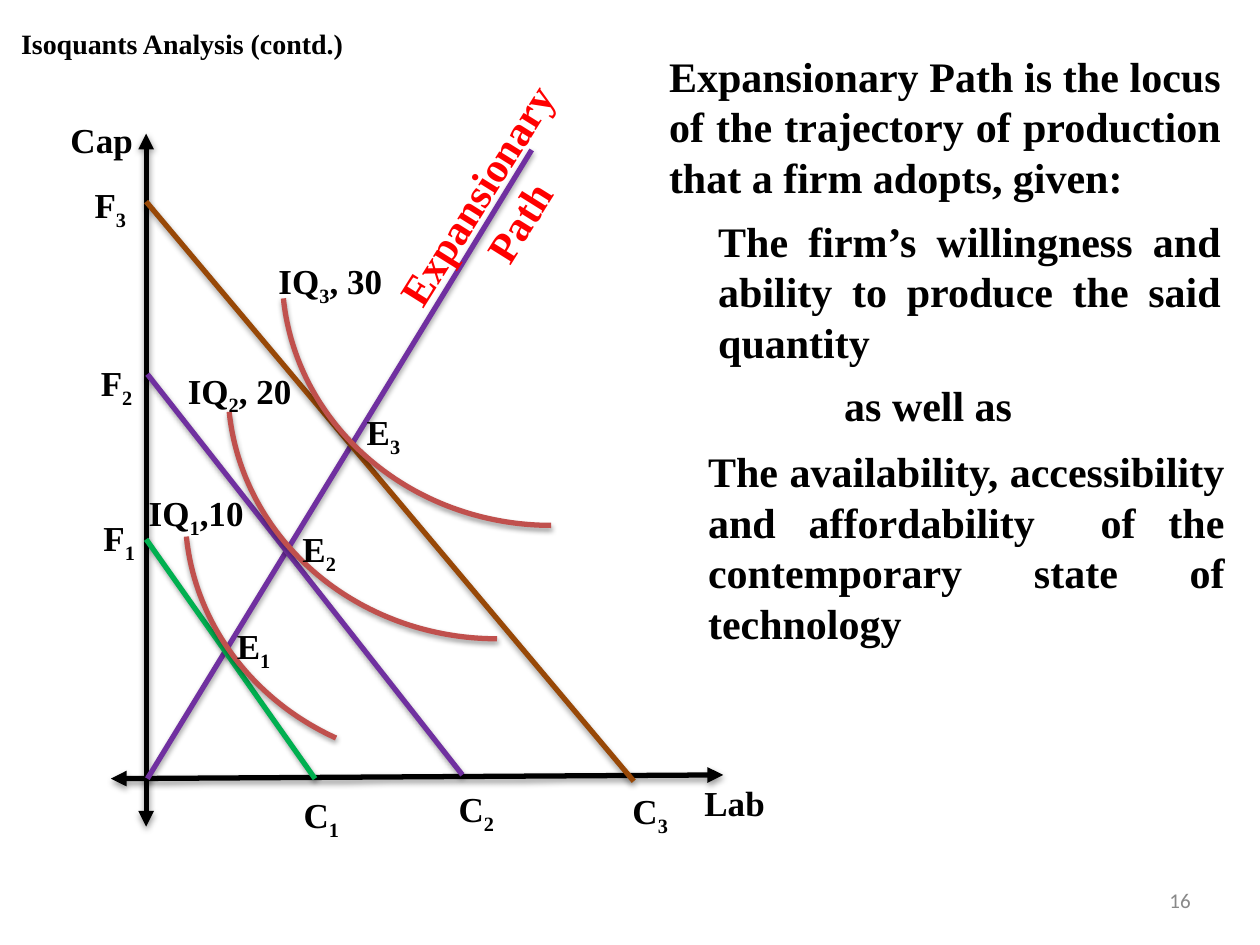
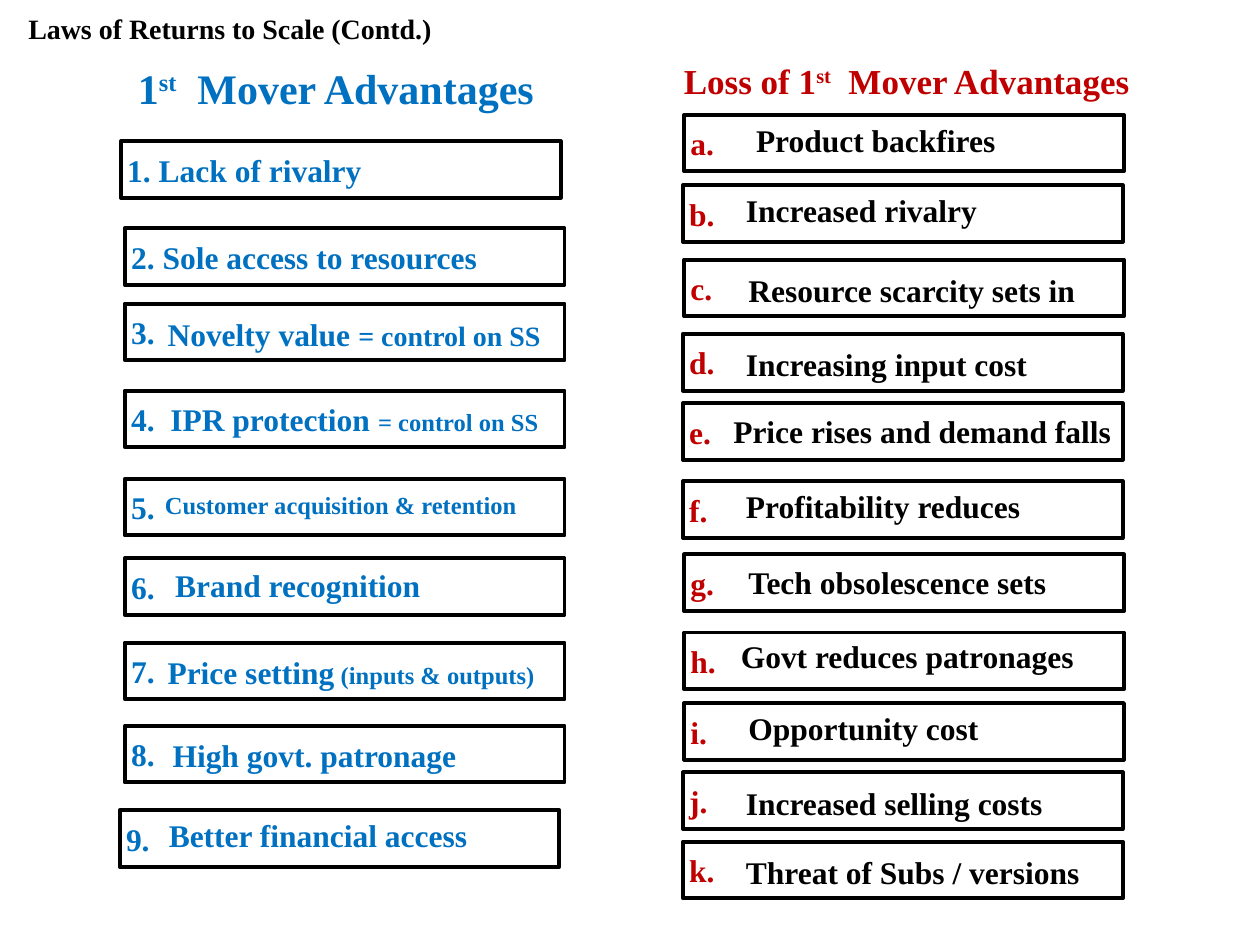
from dataclasses import dataclass

from lxml import etree
from pptx import Presentation
from pptx import util as u
from pptx.dml.color import RGBColor
from pptx.enum import shapes, text
from pptx.oxml.ns import qn


@dataclass(frozen=True)
class Theme:
    black: str = "000000"
    grey: str = "898989"
    red: str = "FF0000"
    dark_red: str = "C00000"
    blue: str = "0070C0"
    purple: str = "7030A0"
    green: str = "00B050"
    brown: str = "984807"
    brick: str = "C0504D"
    serif: str = "Times New Roman"
    sans: str = "Calibri"
    body: int = 24
    label: int = 20
    item: int = 18
    title: int = 16
    note: int = 14
    footer: int = 12
    stroke: float = 3
    frame: float = 2.25


T = Theme()
COLS, ROWS = 100, 75
LEFT, CENTER, RIGHT, JUSTIFY = (text.PP_ALIGN.LEFT, text.PP_ALIGN.CENTER,
                                text.PP_ALIGN.RIGHT, text.PP_ALIGN.JUSTIFY)


@dataclass
class Run:
    text: str
    size: int = 0
    base: int = 0


def sub(stem, index, rest=""):
    """Runs for a stem with a subscript index and an optional tail."""
    return [Run(stem), Run(str(index), base=-25)] + ([Run(rest)] if rest else [])


class Deck:
    """Draws on the current slide; lengths are columns and rows of the grid."""

    def __init__(self, prs):
        self.prs = prs
        self.s = None

    def new_slide(self):
        self.s = self.prs.slides.add_slide(self.prs.slide_layouts[6])

    def x(self, cols):
        return round(self.prs.slide_width * cols / COLS)

    def y(self, rows):
        return round(self.prs.slide_height * rows / ROWS)

    def rect(self, at):
        left, top, width, height = at
        return self.x(left), self.y(top), self.x(width), self.y(height)

    def add_runs(self, sp, runs, size, color, align=LEFT, font=T.serif, bold=True, middle=False):
        tf = sp.text_frame
        tf.word_wrap = True
        tf.margin_left = tf.margin_right = tf.margin_top = tf.margin_bottom = u.Inches(0.05)
        tf.vertical_anchor = text.MSO_ANCHOR.MIDDLE if middle else text.MSO_ANCHOR.TOP
        p = tf.paragraphs[0]
        p.alignment = align
        for run in [Run(runs)] if isinstance(runs, str) else runs:
            r = p.add_run()
            r.text = run.text
            r.font.name, r.font.bold = font, bold
            r.font.size = u.Pt(run.size or size)
            r.font.color.rgb = RGBColor.from_string(color)
            if run.base:
                r._r.get_or_add_rPr().set("baseline", str(run.base * 1000))

    def text(self, at, runs, size=T.label, color=T.black, rotation=0, **style):
        sp = self.s.shapes.add_textbox(*self.rect(at))
        sp.rotation = rotation
        self.add_runs(sp, runs, size, color, **style)

    def title(self, at, runs, size=T.title, color=T.black):
        self.text(at, runs, size, color, align=CENTER, middle=True)

    def stroke(self, sp, color, width):
        sp.line.color.rgb = RGBColor.from_string(color)
        sp.line.width = u.Pt(width)

    def shadow(self, sp):
        effects = etree.SubElement(sp._element.spPr, qn("a:effectLst"))
        outer = etree.SubElement(effects, qn("a:outerShdw"), blurRad="40000", dist="20000",
                                 dir="5400000", rotWithShape="0")
        black = etree.SubElement(outer, qn("a:srgbClr"), val=T.black)
        etree.SubElement(black, qn("a:alpha"), val="38000")

    def line(self, start, end, color, arrows=False):
        sp = self.s.shapes.add_connector(shapes.MSO_CONNECTOR.STRAIGHT, self.x(start[0]),
                                         self.y(start[1]), self.x(end[0]), self.y(end[1]))
        self.stroke(sp, color, T.stroke)
        if arrows:
            ln = sp._element.spPr.find(qn("a:ln"))
            for tip in ("a:headEnd", "a:tailEnd"):
                etree.SubElement(ln, qn(tip), type="triangle")
        self.shadow(sp)

    def arc(self, at, start, end, color):
        """Arc between two angles in degrees, turned by flipping both ways."""
        sp = self.s.shapes.add_shape(shapes.MSO_SHAPE.ARC, *self.rect(at))
        sp.adjustments[0], sp.adjustments[1] = start * 0.6, end * 0.6
        xfrm = sp._element.spPr.find(qn("a:xfrm"))
        xfrm.set("flipH", "1")
        xfrm.set("flipV", "1")
        sp.fill.background()
        self.stroke(sp, color, T.stroke)
        self.shadow(sp)

    def box(self, at, runs, color):
        sp = self.s.shapes.add_shape(shapes.MSO_SHAPE.RECTANGLE, *self.rect(at))
        sp.shadow.inherit = False
        sp.fill.background()
        self.stroke(sp, T.black, T.frame)
        self.add_runs(sp, runs, T.item, color, middle=True)

    def marked_list(self, marks, items, mark_color, label_color):
        """Framed rows: (left, top, runs after the mark, label as (dx, dy, width, runs) or None)."""
        for mark, (left, top, inline, label) in zip(marks, items):
            self.box((left, top, 34.9, 4.5), [Run(f"{mark}.")] + inline, mark_color)
            if label:
                dx, dy, width, runs = label
                self.text((left + dx, top + dy, width, 4), runs, T.item, label_color)


# isocost start, end, colour; label spots for F, C, IQ, E; output; isoquant corner and first angle
LEVELS = [
    ((11.6, 42.8), (25, 61.8), T.green, (7.7, 40.5), (23.6, 62.5), (11.3, 38.5), (18.3, 49.1),
     ",10", (14.7, 20.8), 297.67),
    ((11.7, 29.7), (36.7, 61.5), T.purple, (7.5, 28.2), (35.9, 62), (14.4, 28.8), (23.5, 41.4),
     ", 20", (18.1, 10.9), 270),
    ((11.6, 16), (50.3, 62), T.brown, (7, 14.1), (49.7, 62.2), (21.6, 20.1), (28.6, 32.1),
     ", 30", (22.4, 1.9), 270),
]

STATEMENTS = [
    ((52.6, 3.5, 44.8, 13.1), "Expansionary Path is the locus of the trajectory of production "
                              "that a firm adopts, given:"),
    ((56.5, 16.6, 40.9, 13.1), "The firm’s willingness and ability to produce the said quantity"),
    ((66.5, 29.6, 15.7, 5), "as well as"),
    ((55.7, 34.9, 42, 17.2), "The availability, accessibility and affordability  of the "
                             "contemporary state of technology"),
]

ADVANTAGES = [
    (9.6, 11.2, [Run(" Lack of rivalry")], None),
    (9.9, 18.1, [Run(" Sole access to resources")], None),
    (9.9, 24.1, [], (2.9, 0.4, 32.9, [Run("Novelty value "), Run("= control on SS", T.title)])),
    (9.9, 31, [Run("  IPR protection "), Run("= control on SS", T.note)], None),
    (9.9, 38, [], (2.7, 0.4, 30.3, [Run("Customer acquisition & retention", T.note)])),
    (9.9, 44.3, [], (3.5, 0.1, 29.1, "Brand recognition")),
    (9.9, 51, [], (2.9, 0.3, 34.9, [Run("Price setting"), Run(" (inputs & outputs)", T.note)])),
    (9.9, 57.6, [], (3.3, 0.3, 29.4, "High govt. patronage")),
    (9.5, 64.3, [], (3.4, 0, 29.4, "Better financial access")),
]

LOSSES = [
    (54.3, 9.1, [], (5.2, 0, 27.9, "Product backfires")),
    (54.2, 14.7, [], (4.5, 0, 27.9, "Increased rivalry")),
    (54.3, 20.6, [], (4.6, 0.4, 27.9, "Resource scarcity sets in")),
    (54.2, 26.5, [], (4.5, 0.4, 28.9, "Increasing input cost")),
    (54.2, 32, [], (3.5, 0.2, 31.5, "Price rises and demand falls")),
    (54.2, 38.2, [], (4.5, 0, 27.9, "Profitability reduces")),
    (54.3, 44, [], (4.6, 0.2, 25.6, "Tech obsolescence sets")),
    (54.3, 50.2, [], (4, -0.1, 28.4, "Govt reduces patronages")),
    (54.3, 55.8, [], (4.6, 0, 27.9, "Opportunity cost")),
    (54.2, 61.3, [], (4.5, 0.4, 26.6, "Increased selling costs")),
    (54.2, 66.8, [], (4.5, 0.4, 27.6, "Threat of Subs / versions")),
]


def expansion_path(d):
    d.new_slide()
    d.line((11.6, 10.6), (11.6, 65.6), T.black, arrows=True)
    d.line((57.4, 61.5), (8.8, 61.8), T.black, arrows=True)
    d.text((55.4, 61.5, 6.9, 4.4), "Lab")
    d.text((5.1, 8.9, 7.3, 4.4), "Cap")
    d.line((11.7, 61.8), (42.2, 11.9), T.purple)
    d.text((27.7, 12, 23.6, 9.1), "Expansionary Path", T.body, T.red, rotation=302.1, align=CENTER)
    for i, level in enumerate(LEVELS, 1):
        start, end, color, f, c, iq, e, output, corner, angle = level
        d.line(start, end, color)
        d.arc((*corner, 42.7, 39.8), angle, 354.93, T.brick)
        for spot, width, runs in ((c, 6, sub("C", i)), (f, 5.1, sub("F", i)),
                                  (iq, 10.9, sub("IQ", i, output)), (e, 6, sub("E", i))):
            d.text((*spot, width, 4.4), runs)
    d.text((92.1, 70, 2.9, 2.9), "16", T.footer, T.grey, align=RIGHT, font=T.sans,
           bold=False, middle=True)
    d.title((0, 1.3, 28.9, 4.3), "Isoquants Analysis (contd.)")
    for at, statement in STATEMENTS:
        d.text(at, statement, T.body, align=JUSTIFY)


def first_mover(d):
    d.new_slide()
    d.title((0.8, 0, 34.9, 4.5), "Laws of Returns to Scale (Contd.)")
    superscript = [Run("st", base=30), Run("  Mover Advantages")]
    d.title((9.2, 4.7, 34.9, 4.5), [Run("1")] + superscript, T.body, T.blue)
    d.title((49, 4.1, 45.9, 4.5), [Run("Loss of 1")] + superscript, T.label, T.dark_red)
    d.marked_list(range(1, 10), ADVANTAGES, T.blue, T.blue)
    d.marked_list("abcdefghijk", LOSSES, T.dark_red, T.black)


def main():
    prs = Presentation()
    prs.slide_width, prs.slide_height = u.Inches(10), u.Inches(7.5)
    d = Deck(prs)
    expansion_path(d)
    first_mover(d)
    prs.save("out.pptx")


if __name__ == "__main__":
    main()
